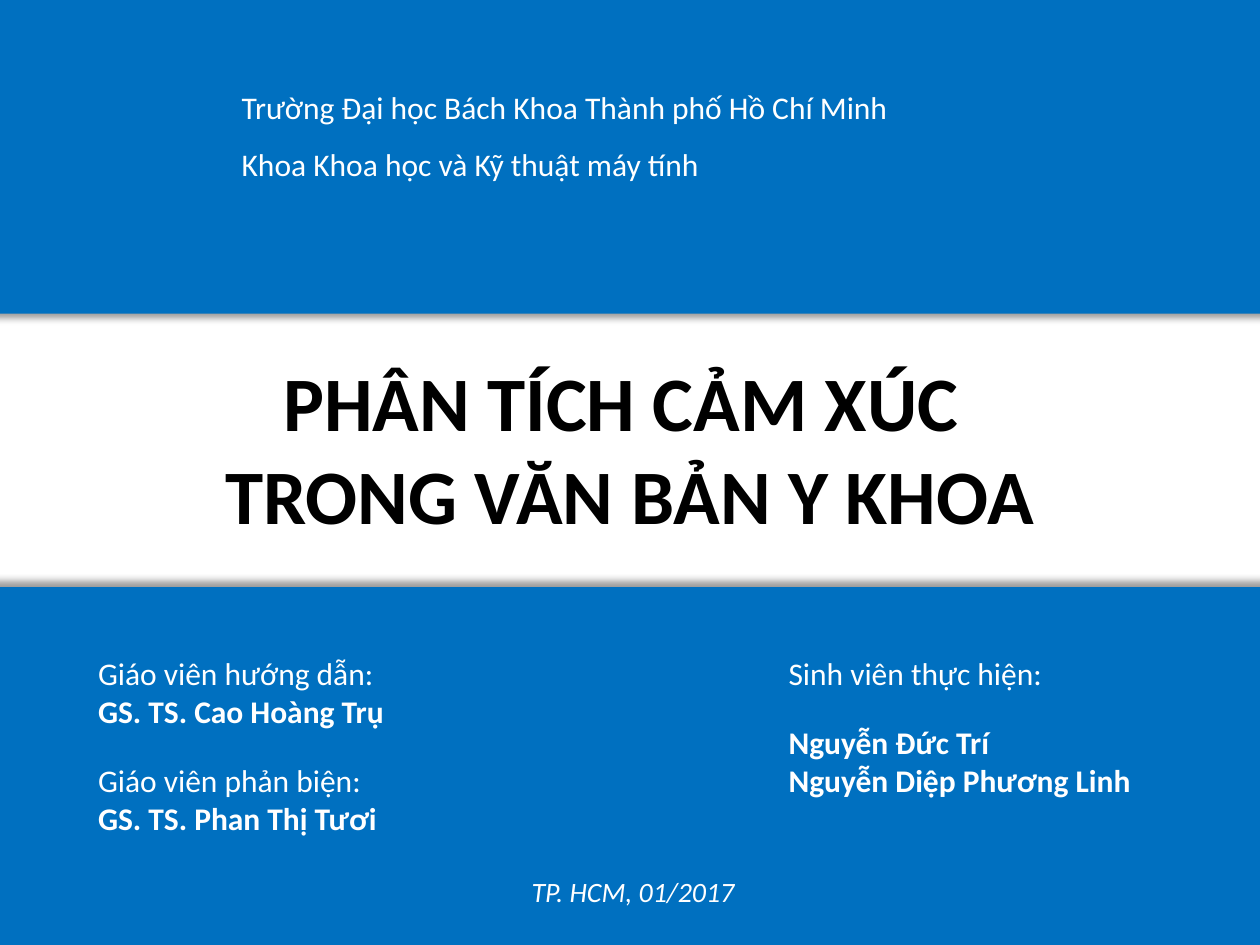
from lxml import etree
from pptx import Presentation
from pptx.dml.color import RGBColor
from pptx.enum import shapes, text
from pptx.oxml.ns import qn
from pptx.util import Inches, Pt

THEME = {
    "font": "Calibri",
    "blue": RGBColor(0x00, 0x70, 0xC0),
    "white": RGBColor(0xFF, 0xFF, 0xFF),
    "black": RGBColor(0x00, 0x00, 0x00),
    "title": Pt(44),
    "body": Pt(18),
    "date": Pt(16),
}
LEFT, CENTER = text.PP_ALIGN.LEFT, text.PP_ALIGN.CENTER
PLAIN, BOLD, ITALIC = {}, {"bold": True}, {"italic": True}

# Content: bands are (top, height, shadow angle)
BAND_LEFT, BAND_WIDTH = -0.07, 10.18
BANDS = [(-0.11, 2.6, 90), (4.66, 2.92, 270)]

# Each paragraph is (lines of (text, style), paragraph format)
TITLE = [
    ([("PHÂN TÍCH CẢM XÚC ", BOLD)], {"alignment": CENTER}),
    ([("TRONG VĂN BẢN Y KHOA", BOLD)], {"alignment": CENTER}),
]
SCHOOL = [
    ([("Trường Đại học Bách Khoa Thành phố Hồ Chí Minh", PLAIN)], {"line_spacing": 1.5}),
    ([("Khoa Khoa học và Kỹ thuật máy tính", PLAIN)], {"line_spacing": 1.5}),
]
TEACHERS = [
    ([("Giáo viên hướng dẫn:", PLAIN), ("GS. TS. Cao Hoàng Trụ", BOLD)],
     {"space_after": Pt(18)}),
    ([("Giáo viên phản biện:", PLAIN), ("GS. TS. Phan Thị Tươi", BOLD)],
     {"space_after": Pt(6)}),
]
STUDENTS = [
    ([("Sinh viên thực hiện:", PLAIN)], {"space_after": Pt(18)}),
    ([("Nguyễn Đức Trí", BOLD), ("Nguyễn Diệp Phương Linh", BOLD)],
     {"space_after": Pt(6)}),
]
DATE = [([("TP. HCM, 01/2017", ITALIC)], {"alignment": CENTER})]

TITLE_BOX = (0, 2.76, 10, 1.58)
TEXT_BOXES = [
    ((1.82, 0.5, 8.97, 0.96), SCHOOL, "body"),
    ((0.68, 5.14, 4.06, 1.55), TEACHERS, "body"),
    ((6.16, 5.14, 3.29, 1.25), STUDENTS, "body"),
    ((3, 6.89, 4.05, 0.37), DATE, "date"),
]


def apply(obj, values):
    for name, value in values.items():
        setattr(obj, name, value)


def add_band(s, top, height, angle):
    box = map(Inches, (BAND_LEFT, top, BAND_WIDTH, height))
    sp = s.shapes.add_shape(shapes.MSO_SHAPE.RECTANGLE, *box)
    sp.fill.solid()
    sp.fill.fore_color.rgb = THEME["blue"]
    sp.line.fill.background()
    sp.shadow.inherit = False
    # Soft shadow cast onto the white strip
    effects = sp._element.spPr.find(qn("a:effectLst"))
    shadow = etree.SubElement(effects, qn("a:outerShdw"), blurRad=str(Pt(4)),
                              dist=str(Pt(3)), dir=str(angle * 60000), rotWithShape="0")
    color = etree.SubElement(shadow, qn("a:srgbClr"), val="000000")
    etree.SubElement(color, qn("a:alpha"), val="40000")


def fill_text(tf, paragraphs, size, color):
    apply(tf, {"word_wrap": True, "auto_size": text.MSO_AUTO_SIZE.SHAPE_TO_FIT_TEXT})
    for i, (lines, layout) in enumerate(paragraphs):
        p = tf.paragraphs[0] if i == 0 else tf.add_paragraph()
        apply(p, {"alignment": LEFT, **layout})
        for j, (words, style) in enumerate(lines):
            if j:
                p.add_line_break()
            r = p.add_run()
            r.text = words
            apply(r.font, {"name": THEME["font"], "size": THEME[size], **style})
            r.font.color.rgb = THEME[color]
        # Line breaks take the size of the text around them
        for br in p._p.findall(qn("a:br")):
            etree.SubElement(br, qn("a:rPr"), sz=str(int(THEME[size].pt * 100)))


def main():
    prs = Presentation()
    apply(prs, {"slide_width": Inches(10), "slide_height": Inches(7.5)})
    s = prs.slides.add_slide(prs.slide_layouts[5])

    # Blue bands, placed behind the title
    for band in BANDS:
        add_band(s, *band)

    # Title
    title = s.shapes.title
    apply(title, dict(zip(("left", "top", "width", "height"), map(Inches, TITLE_BOX))))
    s.shapes._spTree.append(title._element)
    fill_text(title.text_frame, TITLE, "title", "black")

    # School, people and date
    for box, paragraphs, size in TEXT_BOXES:
        sp = s.shapes.add_textbox(*map(Inches, box))
        fill_text(sp.text_frame, paragraphs, size, "white")

    prs.save("out.pptx")


if __name__ == "__main__":
    main()
